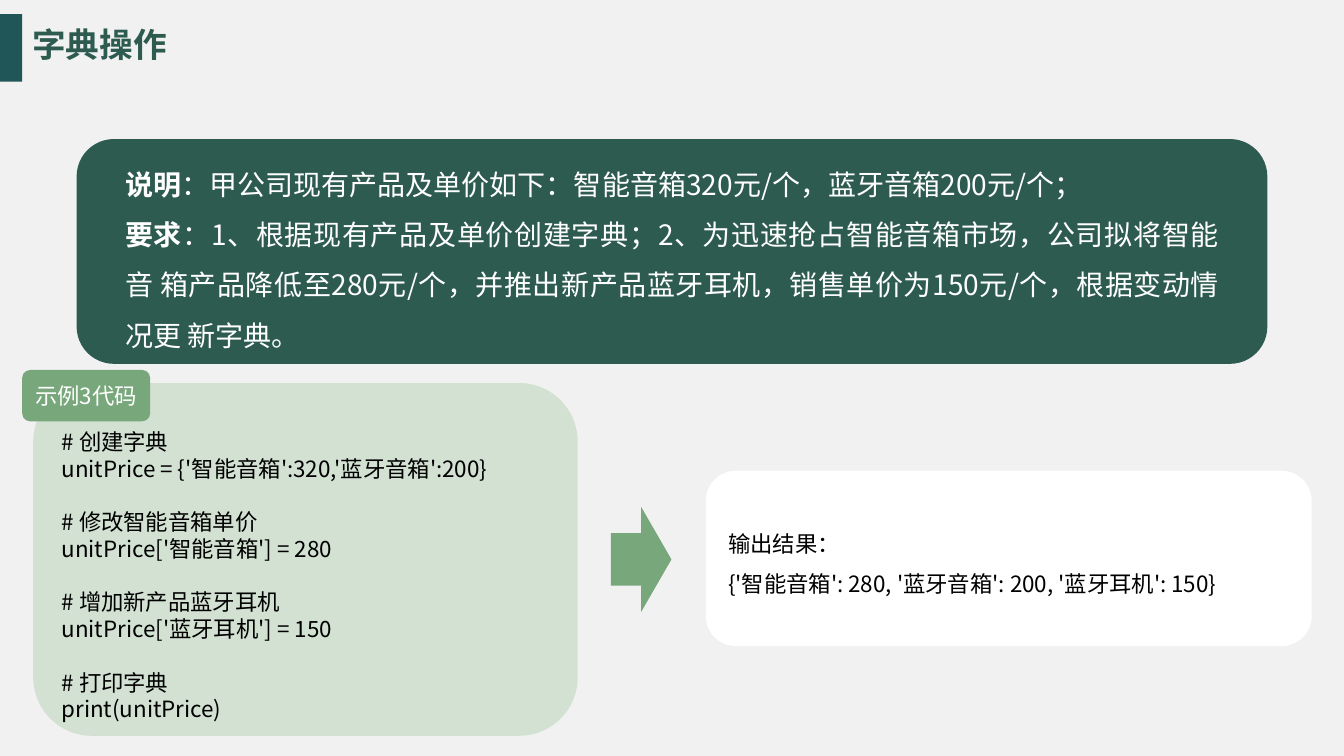
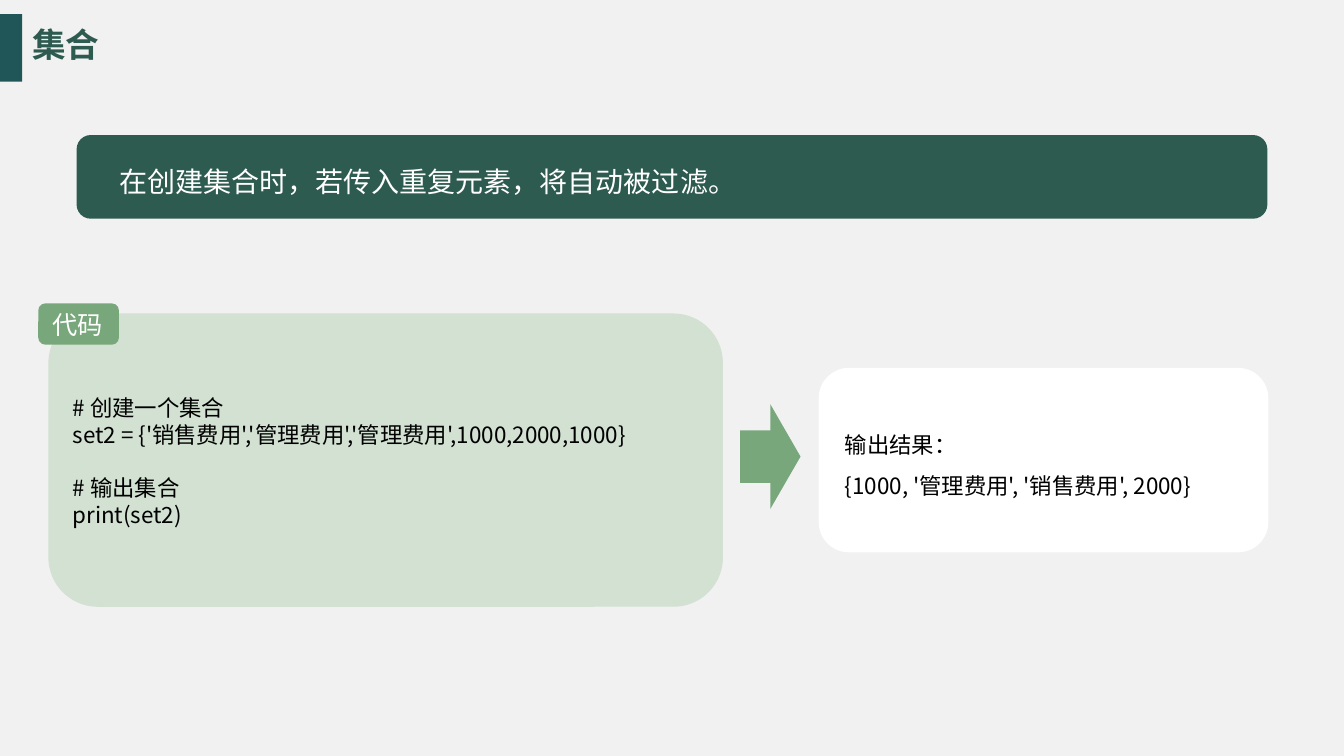
import pptx
import pptx.dml.color
import pptx.enum.shapes
import pptx.enum.text
import pptx.oxml
import pptx.util

Inches = pptx.util.Inches
Pt = pptx.util.Pt
RGBColor = pptx.dml.color.RGBColor
SHAPES = pptx.enum.shapes.MSO_SHAPE
ALIGN = pptx.enum.text.PP_ALIGN
ANCHOR = pptx.enum.text.MSO_ANCHOR

BACKGROUND = RGBColor(0xF1, 0xF1, 0xF1)
BAR = RGBColor(0x20, 0x56, 0x57)
DARK_GREEN = RGBColor(0x2E, 0x5B, 0x50)
GREEN = RGBColor(0x78, 0xA7, 0x7B)
PALE_GREEN = RGBColor(0xD2, 0xE1, 0xD2)
WHITE = RGBColor(0xFF, 0xFF, 0xFF)
BLACK = RGBColor(0, 0, 0)

FONT = "Noto Sans CJK SC"
CODE_LINE = Pt(19.2)
CODE_GAP = Pt(18.8)
OUTPUT_GAP = Pt(9.6)
CORNER_INSET = 0.29


def add_run(paragraph, text, size, color, bold=False):
    run = paragraph.add_run()
    run.text = text
    font = run.font
    font.name = FONT
    font.size = Pt(size)
    font.bold = bold
    font.color.rgb = color
    east_asian = pptx.oxml.parse_xml(
        '<a:ea xmlns:a="http://schemas.openxmlformats.org/drawingml/2006/main"'
        f' typeface="{FONT}"/>')
    font._element.find(pptx.oxml.ns.qn("a:latin")).addnext(east_asian)


def next_paragraph(frame):
    first = frame.paragraphs[0]
    return frame.add_paragraph() if first.runs else first


def add_filled(slide, kind, box, color):
    shape = slide.shapes.add_shape(kind, *map(Inches, box))
    shape.shadow.inherit = False
    shape.fill.solid()
    shape.fill.fore_color.rgb = color
    shape.line.fill.background()
    return shape


def add_panel(slide, box, radius, color, offset, right=0):
    shape = add_filled(slide, SHAPES.ROUNDED_RECTANGLE, box, color)
    shape.adjustments[0] = radius / min(box[2:])
    frame = shape.text_frame
    frame.word_wrap = True
    frame.vertical_anchor = ANCHOR.TOP
    inset = radius * CORNER_INSET
    frame.margin_left = Inches(offset[0] - inset)
    frame.margin_top = Inches(offset[1] - inset)
    frame.margin_right = Inches(max(0, right - inset))
    frame.margin_bottom = 0
    return frame


def add_description(slide, box, radius, offset, paragraphs):
    frame = add_panel(slide, box, radius, DARK_GREEN, offset, right=offset[0])
    for runs in paragraphs:
        paragraph = next_paragraph(frame)
        paragraph.alignment = ALIGN.JUSTIFY
        paragraph.line_spacing = Pt(36)
        for text, bold in runs:
            add_run(paragraph, text, 20, WHITE, bold)


def add_lines(frame, groups, gap):
    for group_index, group in enumerate(groups):
        for line_index, line in enumerate(group):
            paragraph = next_paragraph(frame)
            paragraph.alignment = ALIGN.LEFT
            paragraph.line_spacing = CODE_LINE
            if group_index and not line_index:
                paragraph.space_before = gap
            add_run(paragraph, line, 16, BLACK)


def add_code(slide, box, radius, offset, groups):
    add_lines(add_panel(slide, box, radius, PALE_GREEN, offset), groups, CODE_GAP)


def add_output(slide, box, offset, result):
    frame = add_panel(slide, box, 0.3, WHITE, offset)
    add_lines(frame, [["输出结果："], [result]], OUTPUT_GAP)


def add_label(slide, box, radius, left, text, size):
    frame = add_panel(slide, box, radius, GREEN, (left, radius * CORNER_INSET))
    frame.word_wrap = True
    frame.vertical_anchor = ANCHOR.MIDDLE
    paragraph = frame.paragraphs[0]
    paragraph.alignment = ALIGN.LEFT
    add_run(paragraph, text, size, WHITE)


def add_arrow(slide, left, top):
    add_filled(slide, SHAPES.RIGHT_ARROW, (left, top, 0.6, 1.04), GREEN)


def prepare_layout(presentation, layout):
    fill = layout.background.fill
    fill.solid()
    fill.fore_color.rgb = BACKGROUND
    title = layout.placeholders[0]
    title.left, title.top = Inches(0.32), Inches(0.22)
    title.width, title.height = Inches(12), Inches(0.43)


def move_bar_to_layout(slide, layout):
    bar = add_filled(slide, SHAPES.RECTANGLE, (0, 0.14, 0.22, 0.67), BAR)
    layout.shapes._spTree.append(bar._element)


def add_titled_slide(presentation, layout, text):
    slide = presentation.slides.add_slide(layout)
    frame = slide.shapes.title.text_frame
    frame.margin_left = frame.margin_right = 0
    frame.margin_top = frame.margin_bottom = 0
    frame.auto_size = pptx.enum.text.MSO_AUTO_SIZE.NONE
    frame.vertical_anchor = ANCHOR.MIDDLE
    paragraph = frame.paragraphs[0]
    paragraph.alignment = ALIGN.LEFT
    add_run(paragraph, text, 24, DARK_GREEN, True)
    return slide


def build_dictionary_slide(slide):
    add_description(slide, (0.76, 1.38, 11.81, 2.23), 0.37, (0.48, 0.11), [
        [("说明", True),
         ("：甲公司现有产品及单价如下：智能音箱320元/个，蓝牙音箱200元/个；", False)],
        [("要求", True),
         ("：1、根据现有产品及单价创建字典；2、为迅速抢占智能音箱市场，"
          "公司拟将智能音 箱产品降低至280元/个，并推出新产品蓝牙耳机，"
          "销售单价为150元/个，根据变动情况更 新字典。", False)],
    ])
    add_code(slide, (0.33, 3.8, 5.4, 3.5), 0.58, (0.28, 0.45), [
        ["# 创建字典", "unitPrice = {'智能音箱':320,'蓝牙音箱':200}"],
        ["# 修改智能音箱单价", "unitPrice['智能音箱'] = 280"],
        ["# 增加新产品蓝牙耳机", "unitPrice['蓝牙耳机'] = 150"],
        ["# 打印字典", "print(unitPrice)"],
    ])
    add_label(slide, (0.22, 3.67, 1.27, 0.51), 0.08, 0.13, "示例3代码", 16)
    add_arrow(slide, 6.06, 5.03)
    add_output(slide, (7, 4.67, 6.01, 1.74), (0.22, 0.59),
               "{'智能音箱': 280, '蓝牙音箱': 200, '蓝牙耳机': 150}")


def build_set_slide(slide):
    add_description(slide, (0.76, 1.34, 11.81, 0.83), 0.14, (0.42, 0.13), [
        [("在创建集合时，若传入重复元素，将自动被过滤。", False)],
    ])
    add_code(slide, (0.48, 3.11, 6.69, 2.91), 0.49, (0.24, 0.8), [
        ["# 创建一个集合",
         "set2 = {'销售费用','管理费用','管理费用',1000,2000,1000}"],
        ["# 输出集合", "print(set2)"],
    ])
    add_label(slide, (0.38, 3.01, 0.8, 0.41), 0.07, 0.14, "代码", 18)
    add_arrow(slide, 7.34, 4.01)
    add_output(slide, (8.12, 3.65, 4.46, 1.83), (0.26, 0.63),
               "{1000, '管理费用', '销售费用', 2000}")


def main():
    presentation = pptx.Presentation()
    presentation.slide_width = Inches(13.33)
    presentation.slide_height = Inches(7.5)
    layout = presentation.slide_layouts[5]
    prepare_layout(presentation, layout)
    dictionary_slide = add_titled_slide(presentation, layout, "字典操作")
    move_bar_to_layout(dictionary_slide, layout)
    build_dictionary_slide(dictionary_slide)
    build_set_slide(add_titled_slide(presentation, layout, "集合"))
    presentation.save("out.pptx")


if __name__ == "__main__":
    main()
